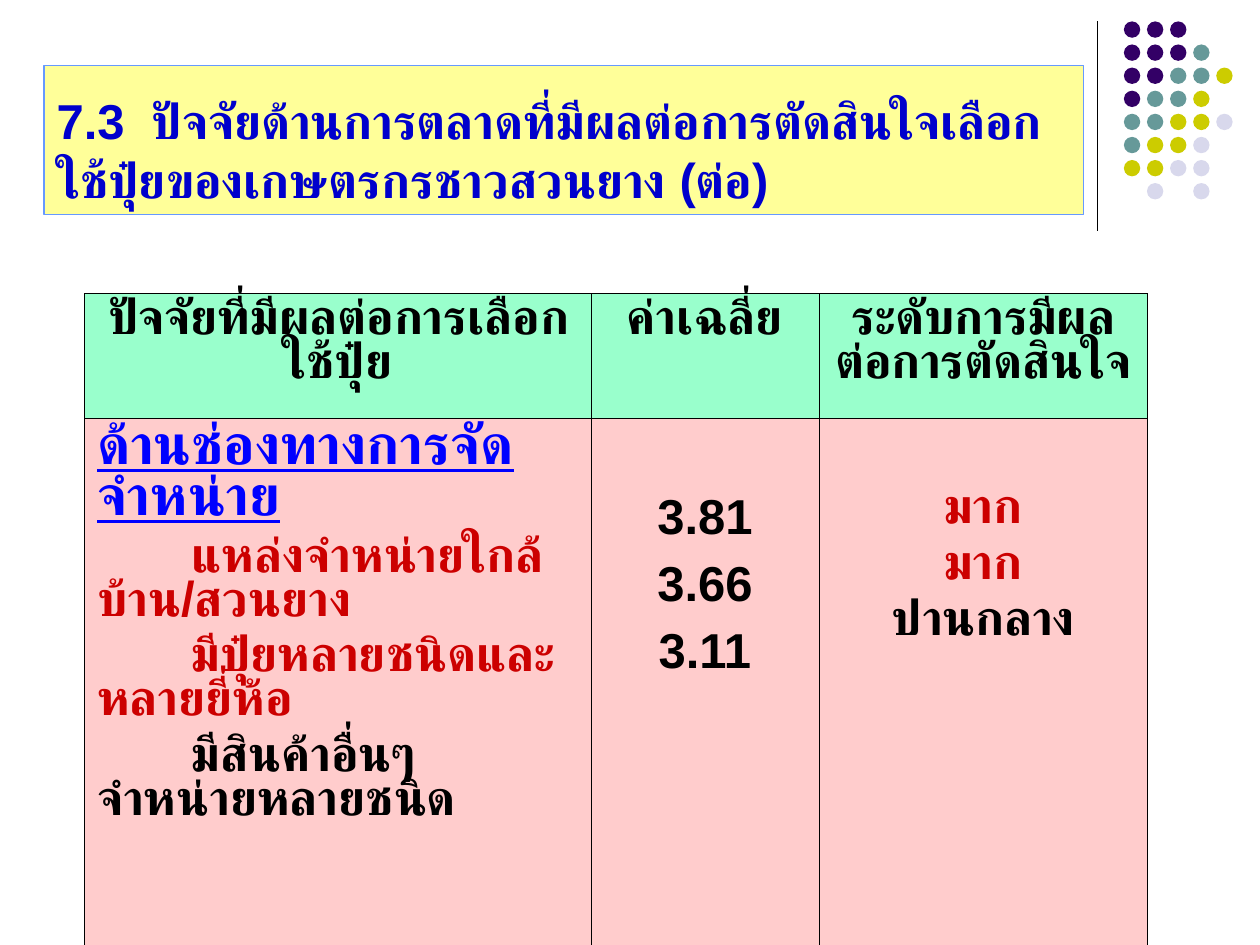
from lxml import etree
from pptx import Presentation
from pptx.dml.color import RGBColor
from pptx.enum.shapes import MSO_CONNECTOR, MSO_SHAPE
from pptx.enum.text import MSO_ANCHOR, MSO_AUTO_SIZE, PP_ALIGN
from pptx.oxml.ns import qn
from pptx.util import Inches, Pt

FONT = "Arial"
COLORS = {
    "black": "000000", "title": "0000CC", "title_fill": "FFFF99",
    "title_line": "6699FF", "header": "99FFCC", "body": "FFCCCC",
    "link": "0000FF", "red": "CC0000", "purple": "330066",
    "teal": "669999", "olive": "CCCC00", "pale": "D8D8EC",
}
DOT_CODES = {"P": "purple", "T": "teal", "O": "olive", "L": "pale"}
DOT_ROWS = ["PPP", "PPPT", "PPTTO", "PTTO", "TTOOL", "TOOL", "OOLL", ".L.L"]


def rgb(name):
    return RGBColor.from_string(COLORS[name])


def add_text(para, text, color, size=28, underline=False):
    span = para.add_run()
    span.text = text
    font = span.font
    font.name, font.size, font.bold = FONT, Pt(size), True
    font.color.rgb = rgb(color)
    if underline:
        font.underline = True
    # Thai letters take the complex-script font
    complex_font = etree.SubElement(font._element, qn("a:cs"))
    complex_font.set("typeface", FONT)


def add_dots(page, left, top, diameter, pitch):
    for row, codes in enumerate(DOT_ROWS):
        for column, code in enumerate(codes):
            if code not in DOT_CODES:
                continue
            dot = page.shapes.add_shape(
                MSO_SHAPE.OVAL, Inches(left + column * pitch),
                Inches(top + row * pitch), Inches(diameter), Inches(diameter))
            dot.shadow.inherit = False
            dot.fill.solid()
            dot.fill.fore_color.rgb = rgb(DOT_CODES[code])
            dot.line.fill.background()


def add_divider(page, left, top, bottom):
    line = page.shapes.add_connector(
        MSO_CONNECTOR.STRAIGHT, Inches(left), Inches(top),
        Inches(left), Inches(bottom))
    line.line.color.rgb = rgb("black")
    line.line.width = Pt(0.75)
    etree.SubElement(line._element.spPr, qn("a:effectLst"))


def fill_title(page, left, top, width, height):
    title = page.shapes.title
    title.left, title.top = Inches(left), Inches(top)
    title.width, title.height = Inches(width), Inches(height)
    title.fill.solid()
    title.fill.fore_color.rgb = rgb("title_fill")
    title.line.color.rgb = rgb("title_line")
    title.line.width = Pt(0.75)
    frame = title.text_frame
    frame.word_wrap = True
    frame.auto_size = MSO_AUTO_SIZE.NONE
    frame.vertical_anchor = MSO_ANCHOR.BOTTOM
    para = frame.paragraphs[0]
    para.alignment = PP_ALIGN.LEFT
    add_text(para, "7.3  ปัจจัยด้านการตลาดที่มีผลต่อการตัดสินใจเลือก"
                   "ใช้ปุ๋ยของเกษตรกรชาวสวนยาง (ต่อ)", "title")


def style_cell(cell, fill):
    properties = cell._tc.get_or_add_tcPr()
    for side in ("lnL", "lnR", "lnT", "lnB"):
        border = etree.SubElement(properties, qn(f"a:{side}"), w=str(Pt(0.45)))
        solid = etree.SubElement(border, qn("a:solidFill"))
        etree.SubElement(solid, qn("a:srgbClr"), val=COLORS["black"])
    cell.fill.solid()
    cell.fill.fore_color.rgb = rgb(fill)


def fill_cell(cell, lines, align, spacing=0.8, top=0.05, indent=0):
    """Each line is (text, color) with optional size and underline."""
    cell.margin_top = Inches(top)
    frame = cell.text_frame
    for number, line in enumerate(lines):
        para = frame.add_paragraph() if number else frame.paragraphs[0]
        para.alignment = align
        para.line_spacing = spacing
        if number:
            para.space_before = Pt(7)
            if indent:
                para._p.get_or_add_pPr().set("indent", str(Inches(indent)))
        add_text(para, *line)


def add_factor_table(page, left, top, widths, heights):
    table = page.shapes.add_table(
        len(heights), len(widths), Inches(left), Inches(top),
        Inches(sum(widths)), Inches(sum(heights))).table
    table.first_row = table.horz_banding = False
    for column, width in zip(table.columns, widths):
        column.width = Inches(width)
    for row, height, fill in zip(table.rows, heights, ("header", "body")):
        row.height = Inches(height)
        for cell in row.cells:
            style_cell(cell, fill)

    # Header row
    headings = ["ปัจจัยที่มีผลต่อการเลือกใช้ปุ๋ย", "ค่าเฉลี่ย",
                "ระดับการมีผลต่อการตัดสินใจ"]
    for column, heading in enumerate(headings):
        fill_cell(table.cell(0, column), [(heading, "black")], PP_ALIGN.CENTER)

    # Factors, means and levels
    factors = [
        ("ด้านช่องทางการจัดจำหน่าย", "link", 32, True),
        ("แหล่งจำหน่ายใกล้บ้าน/สวนยาง", "red"),
        ("มีปุ๋ยหลายชนิดและหลายยี่ห้อ", "red"),
        ("มีสินค้าอื่นๆ จำหน่ายหลายชนิด", "black"),
    ]
    means = [(value, "black") for value in ("3.81", "3.66", "3.11")]
    levels = [("มาก", "red"), ("มาก", "red"), ("ปานกลาง", "black")]
    fill_cell(table.cell(1, 0), factors, PP_ALIGN.LEFT, indent=0.75)
    fill_cell(table.cell(1, 1), means, PP_ALIGN.CENTER, spacing=1.0, top=0.57)
    fill_cell(table.cell(1, 2), levels, PP_ALIGN.CENTER, top=0.56)


def main():
    deck = Presentation()
    deck.slide_width, deck.slide_height = Inches(10), Inches(7.5)
    page = deck.slides.add_slide(deck.slide_layouts[5])
    add_divider(page, 8.71, 0.17, 1.83)
    add_dots(page, 8.92, 0.17, 0.13, 0.18 + 0.01 / 3)
    fill_title(page, 0.35, 0.52, 8.25, 1.18)
    add_factor_table(page, 0.67, 2.33, [4.02, 1.81, 2.61], [0.99, 4.26])
    deck.save("out.pptx")


if __name__ == "__main__":
    main()
